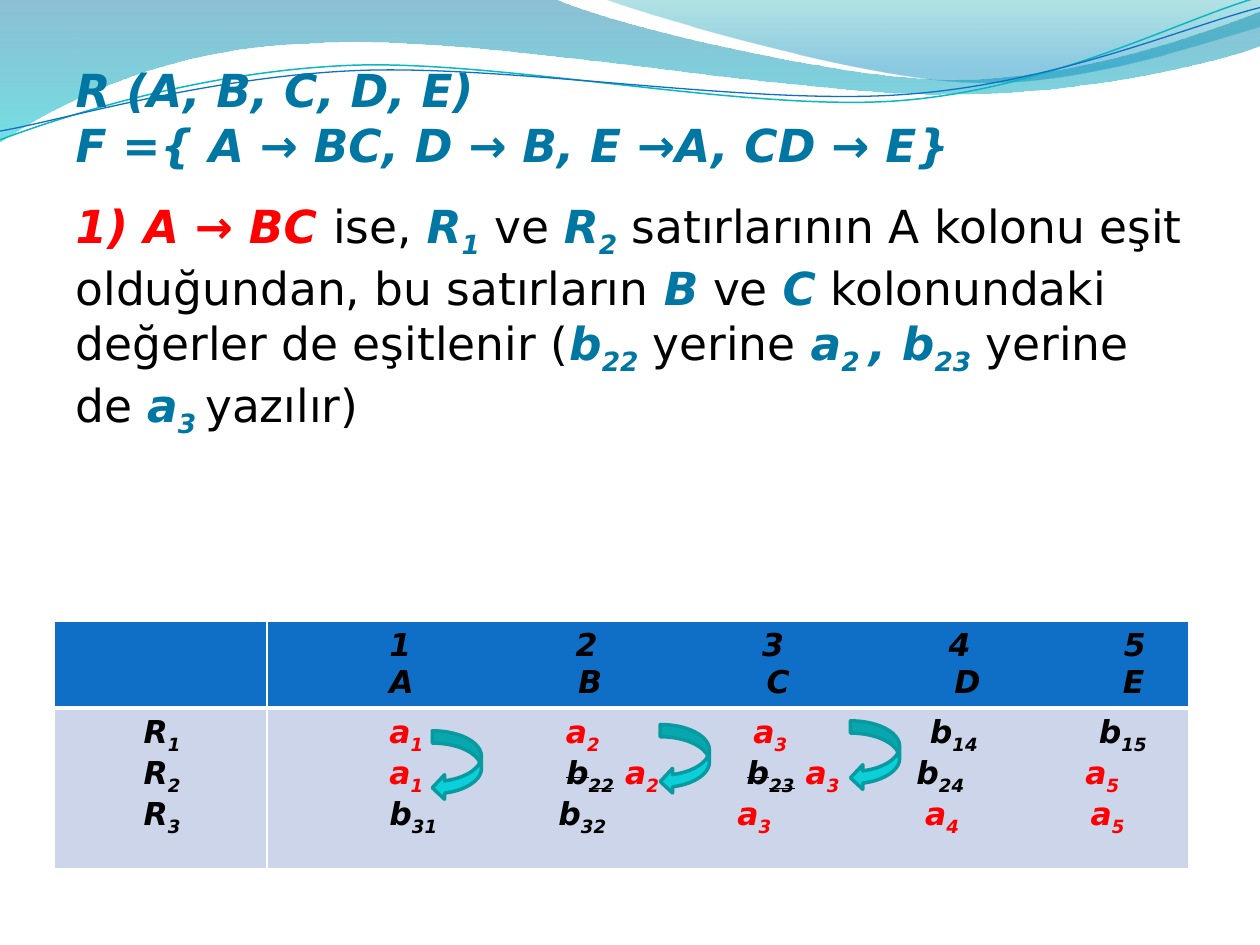
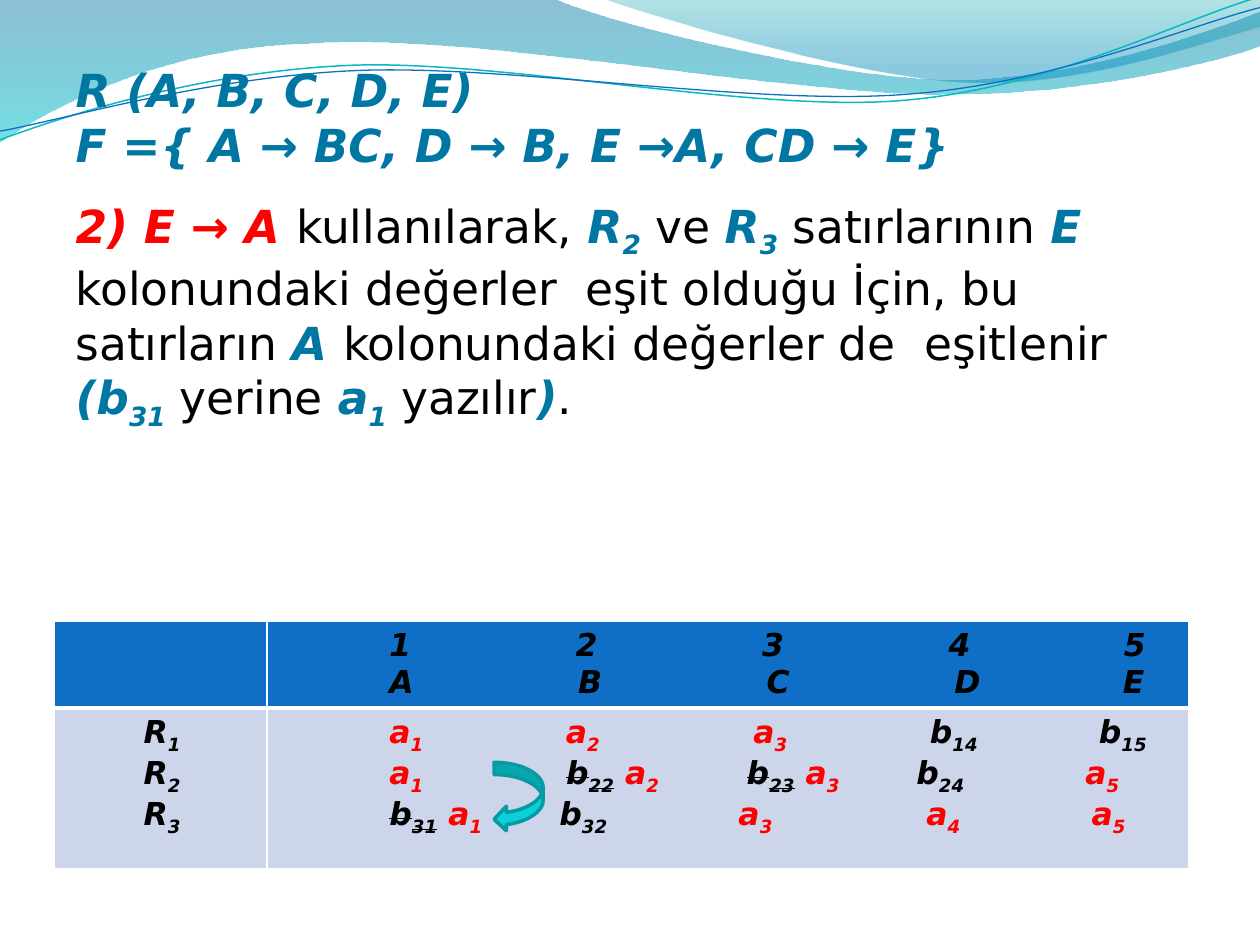
from lxml import etree
from pptx import Presentation
from pptx.dml.color import RGBColor
from pptx.enum import shapes, text
from pptx.oxml.ns import qn
from pptx.util import Pt

FONT = "DejaVu Sans"
HUES = {
    "accent": "0076A3", "red": "FF0000", "ink": "000000", "white": "FFFFFF",
    "head": "0F6FC6", "body": "CCD5EA", "arrow": "0BD0D9", "edge": "089AA1",
    "teal": "0AB8BF", "deep": "0074A1", "aqua": "00C6CF", "sea": "00A1A9",
    "sky": "008BBF",
}

# Each piece of marked text opens with one of these signs; "_" is a subscript
# in the style of the piece before it.
STYLES = {
    "#": dict(hue="accent", bold=True),
    "!": dict(hue="red", bold=True),
    "*": dict(hue="ink", bold=True),
    "-": dict(hue="ink", bold=True, strike=True),
    ".": dict(hue="ink", bold=False),
}

# Waves: start, then curves (six numbers) and lines (two numbers)
BANDS = [
    ([(0, 0), (316.8, -0.7), (342.7, 12.2, 478.1, 45.4, 545.8, 45.4),
      (614.2, 45.4, 689.8, 18.7, 720, 6.5), (720.7, 25.9),
      (707.8, 31.7, 626.4, 54.7, 537.1, 54),
      (447.8, 54, 275, 20.2, 185, 24.5),
      (92.9, 25.9, 33.1, 59.8, -0.7, 81.4)],
     [(0, "deep", 45), (1, "aqua", 55)]),
    ([(344.9, -0.7), (366.5, 7.9, 491, 44.6, 553.7, 46.8),
      (616.3, 49.7, 691.9, 23, 720, 15.1), (720, 0)],
     [(0, "sea", 30), (0.8, "sky", 45)]),
]
LINES = [
    ([(0, 79.9), (34.6, 67, 113.8, 41, 199.4, 37.4),
      (284.4, 33.8, 427, 64.1, 513.4, 57.6),
      (599.8, 51.1, 675.4, 10.8, 718.6, -1.4)], "teal", 0.85),
    ([(0, 74.9), (33.8, 69.1, 118.1, 43.9, 203.8, 40.3),
      (290.2, 36.7, 429.8, 60.5, 516.2, 54),
      (601.9, 48.2, 677.5, 15.1, 720, 4.3)], "head", 0.75),
]

# Table rows: tab stops and marked text
HEAD = [
    ([62.6, 169.1, 275.6, 382.1, 482.3], "*\t1\t2\t3\t4\t5"),
    ([62.6, 170.5, 278.2, 385.4, 481.7], "*\tA\tB\tC\tD\tE"),
]
NAMES = [([43.8], f"*\tR|_{n}") for n in (1, 2, 3)]
ROWS = [
    ([62.6, 163.4, 270.6, 371.4, 468],
     "!\ta|_1\t|!a|_2\t|!a|_3\t|*b|_14\t|*b|_15"),
    ([62.6, 163.6, 266.8, 363.7, 460.3],
     "!\ta|_1\t|-b|_22|* |!a|_2\t|-b|_23|* |!a|_3\t|*b|_24\t|!a|_5"),
]
REST = "\t|*b|_32\t|!a|_3\t|!a|_4\t|!a|_5"

GIVEN = ["#R (A, B, C, D, E)", "#F ={ A → BC, D → B, E →A, CD → E}"]
STEPS = [
    dict(rule="!1) A → BC |.ise, |#R|_1|. ve |#R|_2|. satırlarının A kolonu eşit "
              "olduğundan, bu satırların |#B|. ve |#C|. kolonundaki değerler de "
              "eşitlenir (|#b|_22|. yerine |#a|_2 |#, b|_23|. yerine de |#a|_3 "
              "|.yazılır)",
         last=([62.6, 159.1, 261.5, 368.8, 463.3], "*\tb|_31" + REST),
         arrows=[(346.3, 59), (455, 56.9), (216, 62.6)]),
    dict(rule="!2) E → A |.kullanılarak, |#R|_2|. ve |#R|_3|. satırlarının |#E "
              "|.kolonundaki değerler  eşit olduğu İçin, bu satırların |#A "
              "|.kolonundaki değerler de  eşitlenir |#(b|_31|. yerine |#a|_1"
              "|. yazılır|#)|..",
         last=([62.6, 159.7, 262.1, 369.4, 463.9],
               "*\t|-b|_31|* |!a|_1" + REST),
         arrows=[(251.3, 80.6)]),
]


def rgb(name):
    return RGBColor.from_string(HUES[name])


def apply(item, **vals):
    for key, val in vals.items():
        setattr(item, key, val)


def write(para, marked, size):
    """Add the runs of a marked text to a paragraph."""
    style = None
    for piece in marked.split("|"):
        sign, words = piece[0], piece[1:]
        style = STYLES.get(sign, style)
        run = para.add_run()
        run.text = words
        apply(run.font, name=FONT, size=Pt(size), bold=style["bold"],
              italic=style["bold"])
        run.font.color.rgb = rgb(style["hue"])
        props = run._r.get_or_add_rPr()
        if style.get("strike"):
            props.set("strike", "sngStrike")
        if sign == "_":
            props.set("baseline", "-25000")


def trace(slide, steps, close):
    """Build an outline, then bend its segments into cubic curves."""
    ends = [(Pt(step[-2]), Pt(step[-1])) for step in steps]
    pen = slide.shapes.build_freeform(*ends[0])
    pen.add_line_segments(ends[1:], close=close)
    shape = pen.convert_to_shape()
    shape.shadow.inherit = False
    left, top = shape.left, shape.top
    segs = list(shape._element.iter(qn("a:lnTo")))
    for seg, step in zip(segs, steps[1:]):
        if len(step) == 6:
            curve = etree.Element(qn("a:cubicBezTo"))
            for x, y in zip(step[::2], step[1::2]):
                etree.SubElement(curve, qn("a:pt"), x=str(Pt(x) - left),
                                 y=str(Pt(y) - top))
            seg.getparent().replace(seg, curve)
    return shape


def waves(slide, master):
    """Draw the waves and move them to the master, shared by all slides."""
    drawn = []
    for steps, stops in BANDS:
        band = trace(slide, steps, True)
        band.line.fill.background()
        band.fill.gradient()
        band.fill.gradient_angle = 270
        for stop, (pos, hue, _) in zip(band.fill.gradient_stops, stops):
            stop.color.rgb = rgb(hue)
            stop.position = pos
        for clr, (_, _, alpha) in zip(band._element.iter(qn("a:srgbClr")), stops):
            etree.SubElement(clr, qn("a:alpha")).set("val", str(alpha * 1000))
        drawn.append(band)
    for steps, hue, width in LINES:
        line = trace(slide, steps, False)
        line.fill.background()
        line.line.color.rgb = rgb(hue)
        line.line.width = Pt(width)
        drawn.append(line)
    for n, shape in enumerate(drawn):
        shape._element.nvSpPr.cNvPr.set("id", str(100 + n))
        master.shapes._spTree.insert(2 + n, shape._element)


def prose(slide, rule, box):
    """Fill the body placeholder with the relation and the step."""
    body = slide.placeholders[1]
    apply(body, **dict(zip(("left", "top", "width", "height"), map(Pt, box))))
    frame = body.text_frame
    apply(frame, word_wrap=True, auto_size=text.MSO_AUTO_SIZE.NONE,
          vertical_anchor=text.MSO_ANCHOR.TOP)
    for n, marked in enumerate(GIVEN + [rule]):
        para = frame.add_paragraph() if n else frame.paragraphs[0]
        props = para._p.get_or_add_pPr()
        props.set("marL", "0")
        props.set("indent", "0")
        etree.SubElement(props, qn("a:buNone"))
        apply(para, space_before=Pt(5.2 if n == 2 else 0),
              space_after=Pt(10 if n == 1 else 0))
        write(para, marked, 26)


def border(cell, widths):
    """Draw white cell borders: left, right, top, bottom."""
    props = cell._tc.get_or_add_tcPr()
    for n, (side, width) in enumerate(zip(("lnL", "lnR", "lnT", "lnB"), widths)):
        line = etree.Element(qn("a:" + side), w=str(Pt(width)))
        fill = etree.SubElement(line, qn("a:solidFill"))
        etree.SubElement(fill, qn("a:srgbClr"), val=HUES["white"])
        props.insert(n, line)


def enter(cell, rows):
    """Write rows of marked text on their tab stops."""
    frame = cell.text_frame
    for n, (stops, marked) in enumerate(rows):
        para = frame.add_paragraph() if n else frame.paragraphs[0]
        tabs = etree.SubElement(para._p.get_or_add_pPr(), qn("a:tabLst"))
        for stop in stops:
            etree.SubElement(tabs, qn("a:tab"), pos=str(Pt(stop)), algn="l")
        write(para, marked, 18)


def grid(slide, last, box):
    """Place the table of the rows R1 to R3."""
    table = slide.shapes.add_table(2, 2, *map(Pt, box)).table
    apply(table, first_row=False, horz_banding=False)
    for col, width in zip(table.columns, (121.7, box[2] - 121.7)):
        col.width = Pt(width)
    for row, height in zip(table.rows, (49.6, box[3] - 49.6)):
        row.height = Pt(height)
    cells = [[[], HEAD], [NAMES, ROWS + [last]]]
    looks = [("head", (1, 1, 1, 3)), ("body", (1, 1, 3, 1))]
    for r, (hue, widths) in enumerate(looks):
        for c in range(2):
            cell = table.cell(r, c)
            cell.fill.solid()
            cell.fill.fore_color.rgb = rgb(hue)
            border(cell, widths)
            enter(cell, cells[r][c])


def arrows(slide, spots, box):
    """Place the curved arrows relative to the table."""
    for x, y in spots:
        arrow = slide.shapes.add_shape(
            shapes.MSO_SHAPE.CURVED_LEFT_ARROW,
            Pt(box[0] + x), Pt(box[1] + y), Pt(28.1), Pt(39.6))
        arrow.shadow.inherit = False
        arrow.fill.solid()
        arrow.fill.fore_color.rgb = rgb("arrow")
        arrow.line.color.rgb = rgb("edge")
        arrow.line.width = Pt(2)


def main():
    prs = Presentation()
    apply(prs, slide_width=Pt(720), slide_height=Pt(540))
    area = (31, 355, 648.3, 141.2)
    for n, step in enumerate(STEPS):
        slide = prs.slides.add_slide(prs.slide_layouts[1])
        title = slide.shapes.title._element
        title.getparent().remove(title)
        if n == 0:
            waves(slide, prs.slide_master)
        prose(slide, step["rule"], (36, 32, 648, 306))
        grid(slide, step["last"], area)
        arrows(slide, step["arrows"], area)
    prs.save("out.pptx")


if __name__ == "__main__":
    main()
